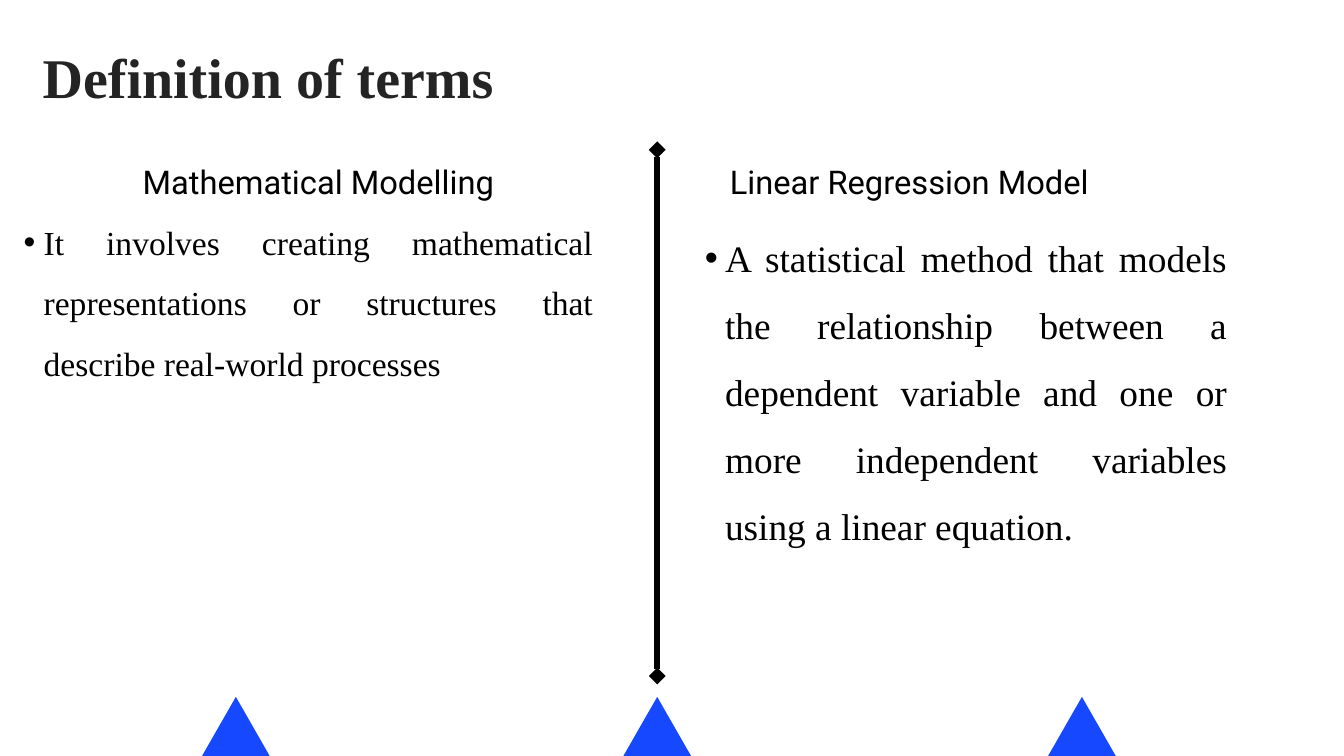
from lxml import etree
from pptx import Presentation
from pptx.dml.color import RGBColor
from pptx.enum.shapes import MSO_CONNECTOR, MSO_SHAPE
from pptx.enum.text import MSO_ANCHOR, MSO_AUTO_SIZE, PP_ALIGN
from pptx.oxml.ns import qn
from pptx.util import Inches, Pt

CENTER, JUSTIFY = PP_ALIGN.CENTER, PP_ALIGN.JUSTIFY
TOP, NO_FIT = MSO_ANCHOR.TOP, MSO_AUTO_SIZE.NONE
STRAIGHT, TRIANGLE = MSO_CONNECTOR.STRAIGHT, MSO_SHAPE.ISOSCELES_TRIANGLE

THEME = {
    "serif": "Times New Roman", "sans": "Roboto",
    "title": "242424", "text": "000000", "accent": "1649FF",
    "title_size": 60, "heading_size": 35,
}

TITLE = "Definition of terms"
TITLE_BOX = (-2.4, 0.43, 12.78, 1.21)
COLUMNS = [
    {"heading": "Mathematical Modelling", "heading_box": (0.7, 2.23, 8.08, 0.79),
     "align": CENTER,
     "body": "It involves creating mathematical representations or structures "
             "that describe real-world processes",
     "body_box": (0.06, 3, 8.77, 2.73), "size": 36},
    {"heading": "Linear Regression Model", "heading_box": (10.86, 2.23, 7.17, 0.79),
     "align": JUSTIFY,
     "body": "A statistical method that models the relationship between a dependent "
             "variable and one or more independent variables using a linear equation.",
     "body_box": (10.2, 3.16, 8.06, 5.05), "size": 40},
]
DIVIDER_X, DIVIDER_TOP, DIVIDER_BOTTOM = 9.78, 2.23, 10.06
TRIANGLE_CENTERS = [3.51, DIVIDER_X, 16.1]
TRIANGLE_TOP, TRIANGLE_W, TRIANGLE_H = 10.37, 2.45, 2.14


def color(name):
    return RGBColor.from_string(THEME[name])


def add_bullet(p):
    p.level = 1
    pPr = p._p.get_or_add_pPr()
    pPr.set("marL", str(Inches(0.59)))
    pPr.set("indent", str(Inches(-0.3)))
    clr = etree.SubElement(pPr, qn("a:buClr"))
    etree.SubElement(clr, qn("a:srgbClr"), val=THEME["text"])
    etree.SubElement(pPr, qn("a:buFont"), typeface="Arial")
    etree.SubElement(pPr, qn("a:buChar"), char="•")


def put_text(sp, text, box, *, size, font, fill="text", bold=False,
             align=JUSTIFY, spacing=1.0, bullet=False):
    sp.left, sp.top, sp.width, sp.height = map(Inches, box)
    tf = sp.text_frame
    tf.word_wrap, tf.auto_size, tf.vertical_anchor = True, NO_FIT, TOP
    tf.margin_left = tf.margin_top = tf.margin_right = tf.margin_bottom = 0
    p = tf.paragraphs[0]
    p.alignment, p.line_spacing = align, spacing
    p.space_before = p.space_after = Pt(0)
    if bullet:
        add_bullet(p)
    r = p.add_run()
    r.text = text
    r.font.name, r.font.size, r.font.bold = THEME[font], Pt(size), bold
    r.font.color.rgb = color(fill)


def add_divider(s):
    x = Inches(DIVIDER_X)
    line = s.shapes.add_connector(STRAIGHT, x, Inches(DIVIDER_BOTTOM),
                                  x, Inches(DIVIDER_TOP))
    line.line.width = Pt(6)
    line.line.color.rgb = color("text")
    ln = line.line._get_or_add_ln()
    for end in ("a:headEnd", "a:tailEnd"):
        etree.SubElement(ln, qn(end), type="diamond")
    etree.SubElement(line._element.spPr, qn("a:effectLst"))


def add_triangle(s, center):
    sp = s.shapes.add_shape(TRIANGLE, Inches(center - TRIANGLE_W / 2),
                            Inches(TRIANGLE_TOP), Inches(TRIANGLE_W), Inches(TRIANGLE_H))
    sp.shadow.inherit = False
    sp.fill.solid()
    sp.fill.fore_color.rgb = color("accent")
    sp.line.fill.background()


def main():
    prs = Presentation()
    prs.slide_width, prs.slide_height = Inches(20), Inches(11.25)
    comparison = prs.slide_layouts[4]
    s = prs.slides.add_slide(comparison)

    put_text(s.shapes.title, TITLE, TITLE_BOX, size=THEME["title_size"], font="serif",
             fill="title", bold=True, align=CENTER, spacing=1.2)
    for i, col in enumerate(COLUMNS):
        heading, body = s.placeholders[2 * i + 1], s.placeholders[2 * i + 2]
        put_text(heading, col["heading"], col["heading_box"], size=THEME["heading_size"],
                 font="sans", align=col["align"], spacing=1.3)
        put_text(body, col["body"], col["body_box"], size=col["size"], font="serif",
                 spacing=1.5, bullet=True)
    add_divider(s)
    for center in TRIANGLE_CENTERS:
        add_triangle(s, center)
    prs.save("out.pptx")


if __name__ == "__main__":
    main()
